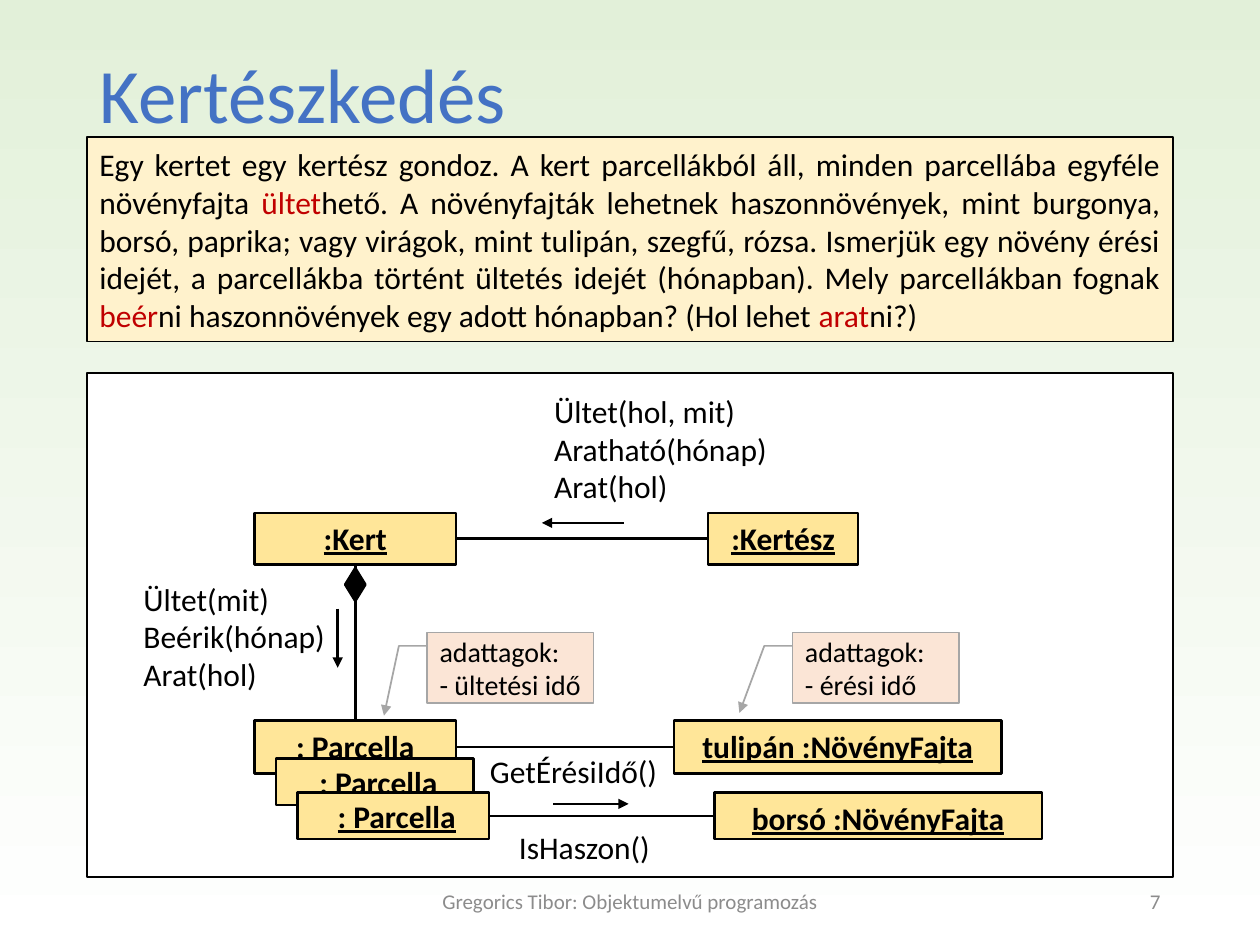
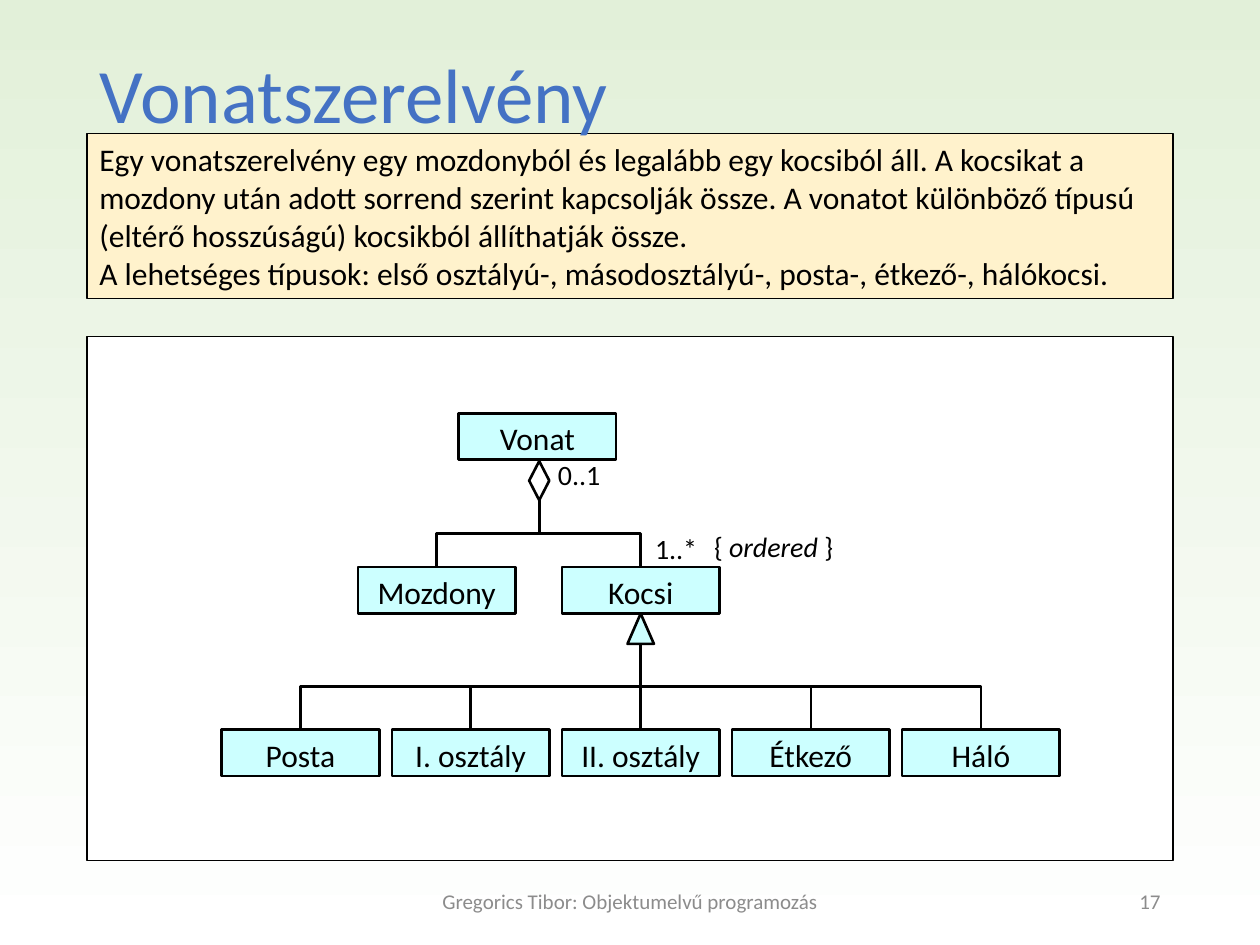
from dataclasses import dataclass, replace
from typing import NamedTuple, Optional

from lxml.etree import SubElement
from pptx import Presentation
from pptx.dml.color import RGBColor
from pptx.enum.shapes import MSO_CONNECTOR as Link, MSO_SHAPE as Shape
from pptx.enum.text import MSO_ANCHOR as Anchor, MSO_AUTO_SIZE as AutoSize, PP_ALIGN as Align
from pptx.oxml.ns import qn
from pptx.util import Inches, Pt

COLUMNS, ROWS, CELL = 100, 75, 0.1
FONT = "Calibri"
FOOTER = "Gregorics Tibor: Objektumelvű programozás"
COLORS = {
    "white": "FFFFFF", "mint": "E2F0D9", "black": "000000", "title": "4472C4",
    "footer": "8C8C8C", "statement": "FFF2CC", "red": "C00000", "object": "FFE699",
    "note": "FBE5D6", "note_line": "A6A6A6", "class": "CCFFFF",
}
TOP, LEFT, BOTTOM, RIGHT = range(4)


class Area(NamedTuple):
    left: float
    top: float
    width: float
    height: float

    @property
    def center(self) -> float:
        return self.left + self.width / 2


class Point(NamedTuple):
    x: float
    y: float


class Span(NamedTuple):
    text: str
    color: Optional[str] = None
    underline: bool = False
    italic: bool = False


@dataclass(frozen=True)
class TextStyle:
    size: float = 18
    color: str = "black"
    bold: bool = False
    align: Align = Align.LEFT
    anchor: Anchor = Anchor.TOP
    spacing: float = 0
    line_spacing: float = 1.0
    wrap: bool = True


@dataclass(frozen=True)
class BoxStyle:
    fill: str
    line: str = "black"
    weight: float = 1.5


PLAIN = TextStyle()
SMALL = TextStyle(size=16)
CENTERED = TextStyle(align=Align.CENTER)
OBJECT_TEXT = replace(CENTERED, bold=True)
STACKED_TEXT = replace(OBJECT_TEXT, anchor=Anchor.MIDDLE)
NOTE_TEXT = replace(SMALL, anchor=Anchor.MIDDLE)
STATEMENT_TEXT = TextStyle(anchor=Anchor.MIDDLE)
TITLE_TEXT = TextStyle(size=44, color="title", line_spacing=0.9)
FOOTER_TEXT = TextStyle(size=12, color="footer", anchor=Anchor.MIDDLE)

OBJECT_BOX = BoxStyle("object")
CLASS_BOX = BoxStyle("class")
NOTE_BOX = BoxStyle("note", "note_line", 1)
STATEMENT_BOX = BoxStyle("statement", weight=1)
PANEL_BOX = BoxStyle("white", weight=1)


def grid(cells: float) -> int:
    return Inches(cells * CELL)


def rgb(name: str) -> RGBColor:
    return RGBColor.from_string(COLORS[name])


def lines(*texts: str) -> list[list[Span]]:
    return [[Span(text)] for text in texts]


def write(frame, paragraphs: list[list[Span]], style: TextStyle) -> None:
    frame.word_wrap = style.wrap
    frame.auto_size = AutoSize.NONE
    frame.vertical_anchor = style.anchor
    for index, spans in enumerate(paragraphs):
        para = frame.add_paragraph() if index else frame.paragraphs[0]
        para.alignment = style.align
        para.line_spacing = style.line_spacing
        para.space_before = para.space_after = Pt(style.spacing)
        for span in spans:
            run = para.add_run()
            run.text = span.text
            font = run.font
            font.name, font.size, font.bold = FONT, Pt(style.size), style.bold
            font.underline, font.italic = span.underline, span.italic
            font.color.rgb = rgb(span.color or style.color)


def add_text(page, area: Area, paragraphs: list[list[Span]], style: TextStyle = PLAIN):
    box = page.shapes.add_textbox(*map(grid, area))
    write(box.text_frame, paragraphs, style)
    return box


def add_box(page, area: Area, look: BoxStyle, paragraphs: Optional[list[list[Span]]] = None,
            style: TextStyle = CENTERED, kind: Shape = Shape.RECTANGLE):
    box = page.shapes.add_shape(kind, *map(grid, area))
    box.shadow.inherit = False
    box.fill.solid()
    box.fill.fore_color.rgb = rgb(look.fill)
    box.line.color.rgb = rgb(look.line)
    box.line.width = Pt(look.weight)
    if paragraphs:
        write(box.text_frame, paragraphs, style)
    return box


def add_arrowhead(shape) -> None:
    outline = shape._element.spPr.find(qn("a:ln"))
    SubElement(outline, qn("a:tailEnd")).set("type", "triangle")


def add_line(page, start: Point, end: Point, kind: Link = Link.STRAIGHT, arrow: bool = False):
    line = page.shapes.add_connector(kind, *map(grid, (*start, *end)))
    line.line.color.rgb = rgb("black")
    line.line.width = Pt(1.5)
    if arrow:
        add_arrowhead(line)
    SubElement(line._element.spPr, qn("a:effectLst"))
    return line


def join(page, start, start_side: int, end, end_side: int) -> None:
    line = add_line(page, Point(0, 0), Point(1, 1))
    line.begin_connect(start, start_side)
    line.end_connect(end, end_side)


def add_branch(page, child: Point, trunk: Point) -> None:
    middle = Point((child.x + trunk.x) / 2, (child.y + trunk.y) / 2)
    half_rise = (child.y - trunk.y) / 2
    half_run = abs(child.x - trunk.x) / 2
    side = 1 if child.x < trunk.x else -1
    branch = add_line(page, Point(middle.x + side * half_rise, middle.y + half_run),
                      Point(middle.x - side * half_rise, middle.y - half_run), Link.ELBOW)
    angle = 90 if side > 0 else 270
    branch._element.spPr.find(qn("a:xfrm")).set("rot", str(angle * 60000))


def add_note(page, area: Area, field: str, bends: list[float]) -> None:
    note = add_box(page, area, NOTE_BOX, lines("adattagok:", field), NOTE_TEXT, Shape.LINE_CALLOUT_2)
    for index, value in enumerate(bends):
        note.adjustments[index] = value
    add_arrowhead(note)


def start_page(deck, title: str, number: int, statement: list[list[Span]],
               statement_rows: Point, panel_rows: Point, style: TextStyle):
    page = deck.slides.add_slide(deck.slide_layouts[5])
    margin, width = 6.9, 86.2
    add_box(page, Area(margin, panel_rows.x, width, panel_rows.y), PANEL_BOX)
    add_box(page, Area(margin, statement_rows.x, width, statement_rows.y),
            STATEMENT_BOX, statement, style)
    add_text(page, Area(33.1, 69.5, 33.8, 4), lines(FOOTER), replace(FOOTER_TEXT, align=Align.CENTER))
    add_text(page, Area(70.6, 69.5, 22.5, 4), lines(str(number)), replace(FOOTER_TEXT, align=Align.RIGHT))
    heading = page.shapes.title
    heading.left, heading.top, heading.width, heading.height = map(grid, (margin, 4, width, 14.5))
    write(heading.text_frame, lines(title), TITLE_TEXT)
    page.shapes._spTree.append(heading._element)
    return page


def build_garden(deck) -> None:
    statement = [[
        Span("Egy kertet egy kertész gondoz. A kert parcellákból áll, minden parcellába egyféle növényfajta "),
        Span("ültet", "red"),
        Span("hető. A növényfajták lehetnek haszonnövények, mint burgonya, borsó, paprika; vagy virágok, "
             "mint tulipán, szegfű, rózsa. Ismerjük egy növény érési idejét, a parcellákba történt "
             "ültetés idejét (hónapban). Mely parcellákban fognak "),
        Span("beér", "red"),
        Span("ni haszonnövények egy adott hónapban? (Hol lehet "),
        Span("arat", "red"),
        Span("ni?)"),
    ]]
    page = start_page(deck, "Kertészkedés", 7, statement, Point(10.9, 16.2), Point(29.6, 40),
                      replace(STATEMENT_TEXT, align=Align.JUSTIFY, spacing=7.2))

    def add_object(area: Area, name: str):
        return add_box(page, area, OBJECT_BOX, [[Span(name, underline=True)]], OBJECT_TEXT)

    garden = add_object(Area(20.2, 40.7, 16, 4.1), ":Kert")
    gardener = add_object(Area(56.2, 40.7, 11.9, 4.1), ":Kertész")
    plot = add_object(Area(20.2, 57.2, 16, 4.2), ": Parcella")
    for area in (Area(21.9, 60.2, 15.7, 3.7), Area(23.6, 62.9, 15.2, 3.7)):
        front_plot = add_box(page, area, OBJECT_BOX,
                             [[Span(" "), Span(": Parcella", underline=True)]], STACKED_TEXT)
    tulip = add_object(Area(53.5, 57.2, 26, 4.2), "tulipán :NövényFajta")
    pea = add_object(Area(56.7, 62.9, 26, 3.7), "borsó :NövényFajta")

    add_box(page, Area(27.4, 45.1, 1.6, 2.6), BoxStyle("black"), kind=Shape.DIAMOND)
    join(page, garden, BOTTOM, plot, TOP)
    join(page, garden, RIGHT, gardener, LEFT)
    join(page, plot, RIGHT, tulip, LEFT)
    join(page, front_plot, RIGHT, pea, LEFT)

    add_note(page, Area(33.9, 50.2, 13.2, 5.6), "- ültetési idő", [0.19, 0, 0.19, -0.17, 1.18, -0.26])
    add_note(page, Area(62.9, 50.2, 13.2, 5.6), "- érési idő", [0.19, 0, 0.19, -0.17, 1.14, -0.32])

    add_text(page, Area(43, 30.6, 19.8, 10.1), lines("Ültet(hol, mit)", "Aratható(hónap)", "Arat(hol)"))
    add_text(page, Area(10.4, 45.5, 18.5, 10.1), lines("Ültet(mit)", "Beérik(hónap)", "Arat(hol)"))
    queries = add_text(page, Area(37.9, 59.2, 15.4, 10.1), lines("GetÉrésiIdő()", "IsHaszon()"),
                       replace(PLAIN, wrap=False))
    second = queries.text_frame.paragraphs[1]
    second.space_before = Pt(22)
    second._p.get_or_add_pPr().set("marL", str(Inches(0.23)))

    for start, end in ((Point(49.5, 41.5), Point(43, 41.5)),
                       (Point(26.8, 48.3), Point(26.8, 53)),
                       (Point(43.9, 63.8), Point(49.9, 63.8))):
        add_line(page, start, end, arrow=True)


def build_train(deck) -> None:
    statement = lines(
        "Egy vonatszerelvény egy mozdonyból és legalább egy kocsiból áll. A kocsikat a mozdony után "
        "adott sorrend szerint kapcsolják össze. A vonatot különböző típusú (eltérő hosszúságú) "
        "kocsikból állíthatják össze.",
        "A lehetséges típusok: első osztályú-, másodosztályú-, posta-, étkező-, hálókocsi.",
    )
    page = start_page(deck, "Vonatszerelvény", 17, statement, Point(10.6, 13.1), Point(26.7, 41.6),
                      STATEMENT_TEXT)

    def class_area(left: float, top: float) -> Area:
        return Area(left, top, 12.5, 3.7)

    def add_class(area: Area, name: str):
        return add_box(page, area, CLASS_BOX, lines(name))

    train, engine, wagon = class_area(36.4, 32.8), class_area(28.4, 45), class_area(44.6, 45)
    for area, name in ((train, "Vonat"), (engine, "Mozdony"), (wagon, "Kocsi")):
        add_class(area, name)

    whole = Point(42.8, 39.7)
    add_box(page, Area(whole.x - 0.8, 36.6, 1.6, 3.1), BoxStyle("white"), kind=Shape.DIAMOND)
    for part in (engine, wagon):
        add_branch(page, Point(part.center, part.top), whole)

    base = Point(wagon.center, 51.1)
    add_box(page, Area(base.x - 1.05, 48.7, 2.1, 2.4), CLASS_BOX, kind=Shape.ISOSCELES_TRIANGLE)
    kinds = ("Posta", "I. osztály", "II. osztály", "Étkező", "Háló")
    for index, name in enumerate(kinds):
        area = class_area(wagon.left + 13.5 * (index - len(kinds) // 2), 57.9)
        box = add_class(area, name)
        tip = Point(area.center, area.top)
        if area.left == wagon.left:
            add_line(page, tip, base).begin_connect(box, TOP)
        else:
            add_branch(page, tip, base)

    add_text(page, Area(55.6, 41.5, 11.6, 3.7), [[Span("{ "), Span("ordered", italic=True), Span(" }")]],
             replace(SMALL, align=Align.CENTER, wrap=False))
    add_text(page, Area(51, 41.7, 5.8, 3.7), lines("1..*"), SMALL)
    add_text(page, Area(43.3, 35.8, 5.8, 3.7), lines("0..1"), SMALL)


def main() -> None:
    deck = Presentation()
    deck.slide_width, deck.slide_height = grid(COLUMNS), grid(ROWS)
    backdrop = deck.slide_master.background.fill
    backdrop.gradient()
    backdrop.gradient_angle = 90
    for stop, name in zip(backdrop.gradient_stops, ("white", "mint")):
        stop.color.rgb = rgb(name)
    build_garden(deck)
    build_train(deck)
    deck.save("out.pptx")


if __name__ == "__main__":
    main()
